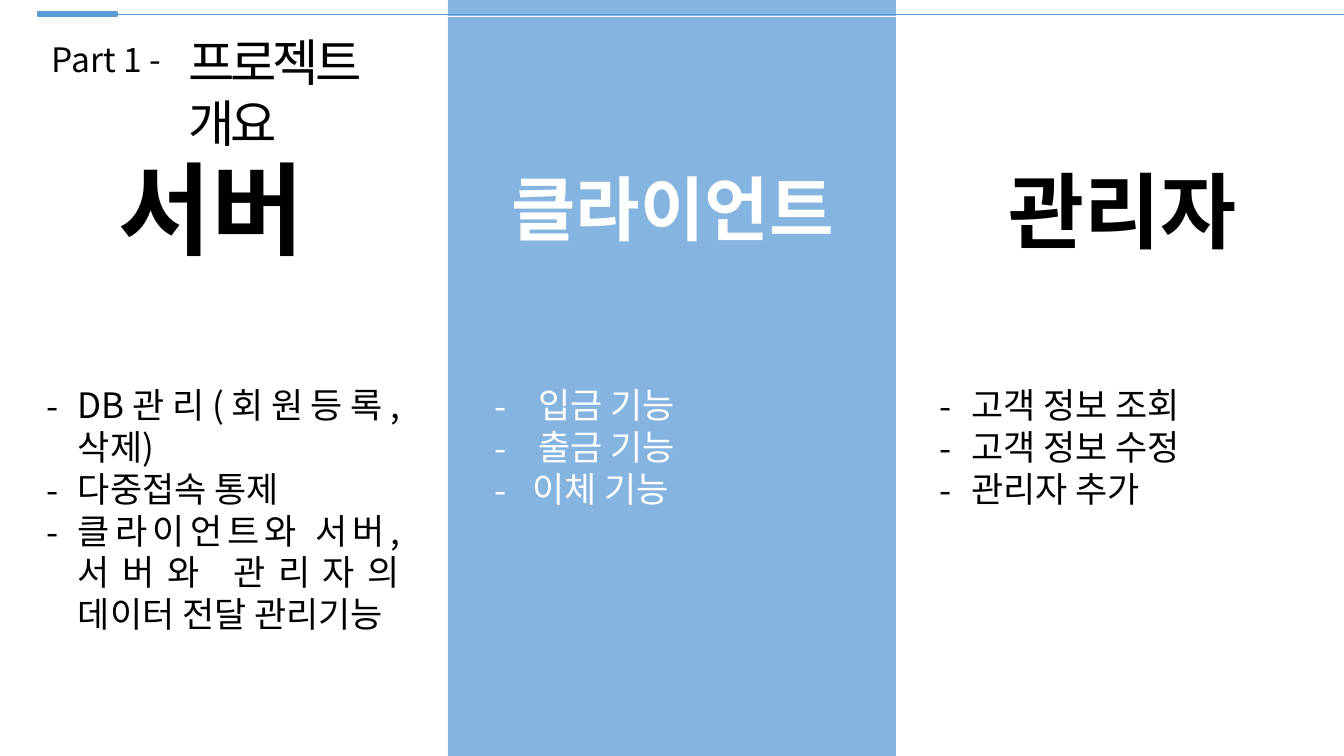
from dataclasses import dataclass

from lxml import etree
from pptx import Presentation
from pptx import util as u
from pptx.dml import color
from pptx.enum import shapes, text
from pptx.oxml import ns

Pt = u.Pt


@dataclass(frozen=True)
class Theme:
    font: str = "Noto Sans CJK KR"
    blue: str = "5B9BD5"
    black: str = "000000"
    white: str = "FFFFFF"
    server_size: int = 72
    client_size: int = 50
    admin_size: int = 59
    list_size: int = 25
    part_size: int = 24
    title_size: int = 36


THEME = Theme()
LIST_TOP = 270
LIST_WIDTH = 267


def rgb(value):
    return color.RGBColor.from_string(value)


def place(shape, left, top, width, height):
    shape.left, shape.top = Pt(left), Pt(top)
    shape.width, shape.height = Pt(width), Pt(height)


def write(shape, lines, size, ink, align, bold=False, wrap=True):
    frame = shape.text_frame
    frame.text = "\n".join(lines)
    frame.word_wrap = wrap
    frame.auto_size = text.MSO_AUTO_SIZE.NONE
    frame.vertical_anchor = text.MSO_ANCHOR.TOP
    for paragraph in frame.paragraphs:
        paragraph.alignment = align
        paragraph.space_before = paragraph.space_after = Pt(0)
        for run in paragraph.runs:
            run.font.size = Pt(size)
            run.font.bold = bold
            run.font.name = THEME.font
            run.font.color.rgb = rgb(ink)
            east_asian = etree.SubElement(run.font._element, ns.qn("a:ea"))
            east_asian.set("typeface", THEME.font)


def add_label(slide, box, label, size, ink, align, bold=False, wrap=True):
    shape = slide.shapes.add_textbox(*map(Pt, box))
    write(shape, [label], size, ink, align, bold, wrap)


def add_heading(slide, box, label, size, ink):
    add_label(slide, box, label, size, ink, text.PP_ALIGN.CENTER, bold=True)


def fill_list(placeholder, left, height, items, ink):
    place(placeholder, left, LIST_TOP, LIST_WIDTH, height)
    lines = [line for line, indent in items]
    write(placeholder, lines, THEME.list_size, ink, text.PP_ALIGN.JUSTIFY)
    for paragraph, (line, indent) in zip(placeholder.text_frame.paragraphs, items):
        properties = paragraph._p.get_or_add_pPr()
        properties.set("marL", str(Pt(indent)))
        properties.set("indent", str(-Pt(indent)))
        bullet_font = etree.SubElement(properties, ns.qn("a:buFont"))
        bullet_font.set("typeface", THEME.font)
        bullet = etree.SubElement(properties, ns.qn("a:buChar"))
        bullet.set("char", "-")


def fill_title(placeholder, label):
    place(placeholder, 127.5, 18.7, 178.5, 51)
    write(placeholder, [label], THEME.title_size, THEME.black, text.PP_ALIGN.LEFT)
    for run in placeholder.text_frame.paragraphs[0].runs:
        run.font._element.set("spc", "-300")


def add_block(slide, box, fill):
    shape = slide.shapes.add_shape(shapes.MSO_SHAPE.RECTANGLE, *map(Pt, box))
    shape.shadow.inherit = False
    shape.fill.solid()
    shape.fill.fore_color.rgb = rgb(fill)
    shape.line.fill.background()
    return shape


def add_column(slide):
    column = add_block(slide, (320, 0, 320, 540), THEME.blue)
    fill = column._element.spPr.find(ns.qn("a:solidFill"))
    etree.SubElement(fill[0], ns.qn("a:alpha")).set("val", "75000")
    slide.shapes._spTree.insert(2, column._element)


def add_rule(slide, start, end, top, ink):
    rule = slide.shapes.add_connector(
        shapes.MSO_CONNECTOR.STRAIGHT, Pt(start), Pt(top), Pt(end), Pt(top)
    )
    rule.line.color.rgb = rgb(ink)
    rule.line.width = Pt(0.5)
    etree.SubElement(rule._element.spPr, ns.qn("a:effectLst"))


def main():
    presentation = Presentation()
    presentation.slide_width, presentation.slide_height = Pt(960), Pt(540)
    slide = presentation.slides.add_slide(presentation.slide_layouts[4])
    title, server, client, admin, spare = slide.placeholders
    spare._element.getparent().remove(spare._element)

    add_column(slide)
    add_heading(slide, (50, 101, 202, 94), "서버", THEME.server_size, THEME.black)
    add_heading(slide, (358, 114.5, 245, 68), "클라이언트", THEME.client_size, THEME.white)
    add_heading(slide, (701, 111, 202, 78), "관리자", THEME.admin_size, THEME.black)

    fill_list(server, 26, 158, [
        ("DB관리(회원등록,삭제)", 22.5),
        ("다중접속 통제", 22.5),
        ("클라이언트와 서버, 서버와 관리자의 데이터 전달 관리기능", 22.5),
    ], THEME.black)
    fill_list(client, 346, 98, [
        ("입금 기능", 31.5),
        ("출금 기능", 31.5),
        ("이체 기능", 27),
    ], THEME.white)
    fill_list(admin, 664, 98, [
        ("고객 정보 조회", 22.5),
        ("고객 정보 수정", 22.5),
        ("관리자 추가", 22.5),
    ], THEME.black)

    accent = add_block(slide, (27, 8.5, 56.5, 3), THEME.blue)
    accent.line.color.rgb = rgb(THEME.blue)
    accent.line.width = Pt(1)
    add_rule(slide, 83, 960, 10, THEME.blue)
    add_rule(slide, 319, 640, 11.5, THEME.white)
    add_block(slide, (743, 523.5, 217, 16.5), THEME.white)
    add_label(slide, (30, 24, 104, 36), "Part 1 -", THEME.part_size,
              THEME.black, text.PP_ALIGN.LEFT, wrap=False)
    fill_title(title, "프로젝트 개요")

    presentation.save("out.pptx")


if __name__ == "__main__":
    main()
